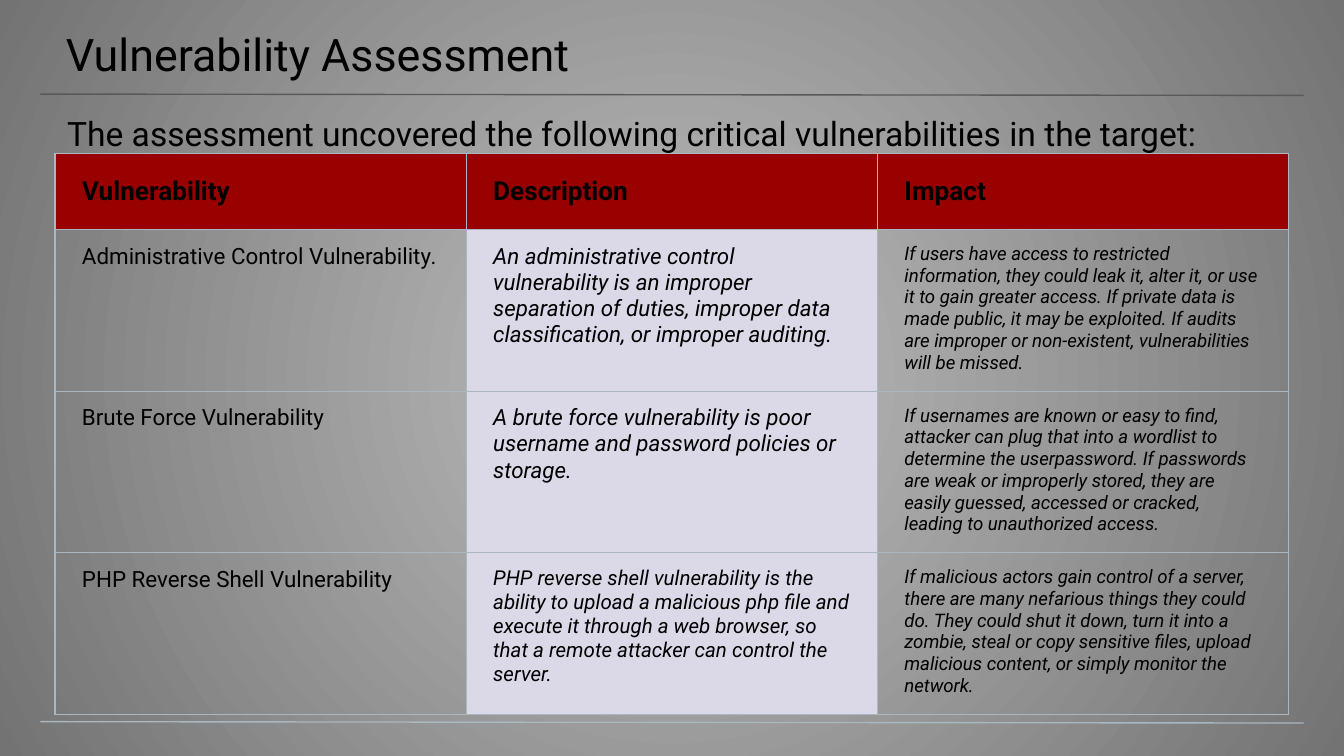
from lxml.etree import SubElement
from pptx import Presentation
from pptx.dml.color import RGBColor
from pptx.enum.shapes import MSO_CONNECTOR
from pptx.enum.text import MSO_ANCHOR
from pptx.oxml.ns import qn
from pptx.util import Inches, Pt

WIDTH = 10
HEIGHT = WIDTH * 9 / 16
RULE_COLOR = "A9B7C0"
HEADINGS = ["Vulnerability", "Description", "Impact"]
ROW_HEIGHTS = [0.57, 1.1, 0.81, 1.1]
FINDINGS = [
    (
        [("Administrative Control Vulnerability", False), (".", True)],
        ("An administrative control vulnerability is an improper separation of duties, "
         "improper data classification, or improper auditing.", 12),
        "If users have access to restricted information, they could leak it, alter it, "
        "or use it to gain greater access. If private data is made public, it may be "
        "exploited. If audits are improper or non-existent, vulnerabilities will be missed.",
    ),
    (
        [("Brute Force Vulnerability", False)],
        ("A brute force vulnerability is poor username and password policies or storage.", 12),
        "If usernames are known or easy to find, attacker can plug that into a wordlist "
        "to determine the userpassword. If passwords are weak or improperly stored, they "
        "are easily guessed, accessed or cracked, leading to unauthorized access.",
    ),
    (
        [("PHP Reverse Shell Vulnerability", False)],
        ("PHP reverse shell vulnerability is the ability to upload a malicious php file and "
         "execute it through a web browser, so that a remote attacker can control the server.", 11),
        "If malicious actors gain control of a server, there are many nefarious things they "
        "could do. They could shut it down, turn it into a zombie, steal or copy sensitive "
        "files, upload malicious content, or simply monitor the network.",
    ),
]


def rgb(value):
    """Turn a hex string into a colour."""
    return RGBColor.from_string(value)


def add_run(paragraph, text, size, bold=False, italic=False):
    """Add one run of black Roboto text."""
    run = paragraph.add_run()
    run.text = text
    font = run.font
    font.name, font.size, font.bold, font.italic = "Roboto", Pt(size), bold, italic
    font.color.rgb = rgb("000000")


def set_insets(holder, left, top, right, bottom):
    """Set the inner margins of a text frame or table cell."""
    holder.margin_left, holder.margin_top = Inches(left), Inches(top)
    holder.margin_right, holder.margin_bottom = Inches(right), Inches(bottom)


def paint_background(slide, center, edge):
    """Fill the slide with a radial gradient."""
    slide.background.fill.gradient()
    gradient = slide.element.find(f".//{qn('a:gradFill')}")
    for child in list(gradient):
        gradient.remove(child)
    stops = SubElement(gradient, qn("a:gsLst"))
    for position, color in ((0, center), (100000, edge)):
        stop = SubElement(stops, qn("a:gs"), pos=str(position))
        SubElement(stop, qn("a:srgbClr"), val=color)
    radial = SubElement(gradient, qn("a:path"), path="circle")
    SubElement(radial, qn("a:fillToRect"), l="50000", t="50000", r="50000", b="50000")


def add_rule(slide, top, color):
    """Draw a thin rule across the slide."""
    margin = 0.03 * WIDTH
    rule = slide.shapes.add_connector(
        MSO_CONNECTOR.STRAIGHT, Inches(margin), Inches(top),
        Inches(WIDTH - margin), Inches(top + 0.01))
    rule.line.color.rgb = rgb(color)
    rule.line.width = Pt(0.75)
    SubElement(rule.element.spPr, qn("a:effectLst"))


def add_heading(slide, box, insets, text, size):
    """Place a one-line heading in the given box."""
    frame = slide.shapes.add_textbox(*map(Inches, box)).text_frame
    frame.word_wrap = True
    frame.vertical_anchor = MSO_ANCHOR.TOP
    set_insets(frame, *insets)
    add_run(frame.paragraphs[0], text, size)


def style_cell(cell, fill=None):
    """Set a cell's insets, borders and fill."""
    set_insets(cell, 0.2, 0.1, 0.2, 0.1)
    properties = cell._tc.get_or_add_tcPr()
    for side in ("lnL", "lnR", "lnT", "lnB"):
        border = SubElement(properties, qn(f"a:{side}"), w=str(Pt(0.75)))
        SubElement(SubElement(border, qn("a:solidFill")), qn("a:srgbClr"), val=RULE_COLOR)
    if fill:
        cell.fill.solid()
        cell.fill.fore_color.rgb = rgb(fill)
    else:
        cell.fill.background()


def add_findings(slide, left, top, width):
    """Build the table of vulnerabilities from the given corner and width."""
    box = left, top, width, sum(ROW_HEIGHTS)
    table = slide.shapes.add_table(
        len(ROW_HEIGHTS), len(HEADINGS), *map(Inches, box)).table
    table.first_row = table.horz_banding = False
    for column in table.columns:
        column.width = Inches(width / len(HEADINGS))
    for row, height in zip(table.rows, ROW_HEIGHTS):
        row.height = Inches(height)

    for index, heading in enumerate(HEADINGS):
        cell = table.cell(0, index)
        style_cell(cell, "990000")
        cell.vertical_anchor = MSO_ANCHOR.MIDDLE
        add_run(cell.text_frame.paragraphs[0], heading, 14, bold=True)
    for row, (name, (description, size), impact) in enumerate(FINDINGS, 1):
        name_cell, description_cell, impact_cell = table.rows[row].cells
        style_cell(name_cell)
        style_cell(description_cell, "DBD9E8")
        style_cell(impact_cell)
        for text, italic in name:
            add_run(name_cell.text_frame.paragraphs[0], text, 12, italic=italic)
        add_run(description_cell.text_frame.paragraphs[0], description, size, italic=True)
        add_run(impact_cell.text_frame.paragraphs[0], impact, 10, italic=True)


def build_slide(deck):
    """Lay out the vulnerability assessment slide."""
    slide = deck.slides.add_slide(deck.slide_layouts[6])
    paint_background(slide, "BFBFBF", "737373")
    add_rule(slide, 0.7, "595959")
    add_rule(slide, 5.37, RULE_COLOR)
    add_heading(slide, (-0.01, 0, WIDTH + 0.03, 0.58), (0.5, 0.2, 0.3, 0.1),
                "Vulnerability Assessment", 24)
    add_heading(slide, (0, 0.74, WIDTH, 0.4), (0.5, 0.1, 0.5, 0),
                "The assessment uncovered the following critical vulnerabilities in the target:", 18)
    add_findings(slide, 0.41, 1.14, 9.18)


if __name__ == "__main__":
    presentation = Presentation()
    presentation.slide_width, presentation.slide_height = Inches(WIDTH), Inches(HEIGHT)
    build_slide(presentation)
    presentation.save("out.pptx")
